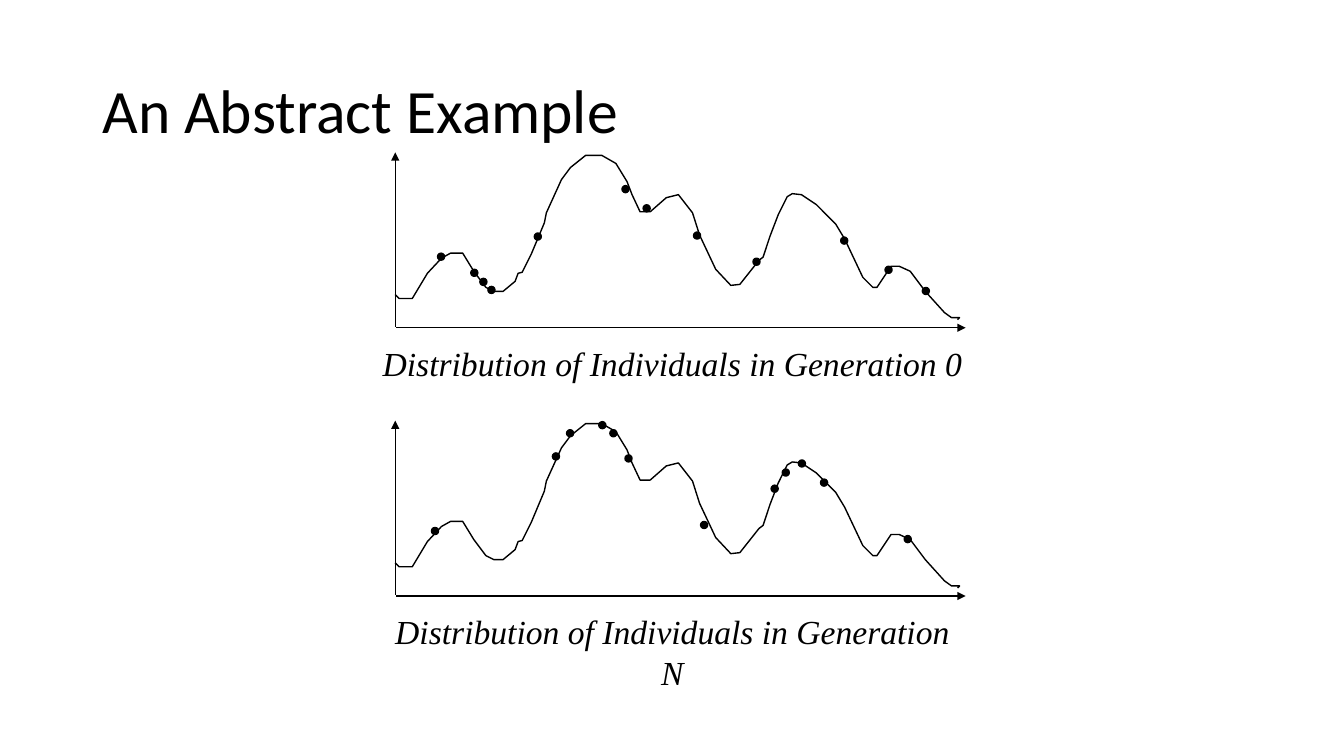
from lxml import etree
from pptx import Presentation
from pptx.dml.color import RGBColor
from pptx.enum.shapes import MSO_CONNECTOR, MSO_SHAPE
from pptx.enum.text import MSO_ANCHOR, MSO_AUTO_SIZE, PP_ALIGN
from pptx.oxml.ns import qn
from pptx.util import Cm, Pt

STRAIGHT = MSO_CONNECTOR.STRAIGHT
OVAL = MSO_SHAPE.OVAL
MIDDLE = MSO_ANCHOR.MIDDLE
FIT_SHAPE = MSO_AUTO_SIZE.SHAPE_TO_FIT_TEXT
LEFT, CENTER = PP_ALIGN.LEFT, PP_ALIGN.CENTER

COLORS = {"ink": "000000", "paper": "FFFFFF"}
TITLE_FONT, CAPTION_FONT = "Calibri", "Times New Roman"
TITLE_ONLY = 5

# Plot coordinates: hundredths of an inch from the top left corner of a plot
PLOT_UNIT = Cm(2.54) / 100
DOT_SIZE = 7
LANDSCAPE = [
    (0, 141), (4, 145), (17, 145), (32, 120), (46, 105), (55, 100), (67, 100),
    (78, 118), (90, 134), (98, 138), (107, 138), (119, 128), (122, 120),
    (126, 119), (135, 101), (148, 70), (150, 60), (165, 27), (174, 15),
    (189, 3), (205, 3), (219, 11), (230, 29), (235, 42), (243, 59), (253, 59),
    (269, 45), (281, 42), (295, 60), (302, 82), (318, 116), (333, 132),
    (342, 131), (361, 107), (365, 104), (372, 83), (380, 62), (389, 44),
    (394, 41), (403, 42), (418, 52), (437, 71), (446, 86), (464, 124),
    (474, 134), (478, 134), (492, 113), (500, 113), (511, 118), (526, 138),
    (545, 159), (552, 164), (560, 164), (558, 166),
]
# Generation name, top of its plot in cm, top left corners of its individuals
GENERATIONS = [
    ("0", 3.84, [(138, 80), (42, 100), (75, 116), (84, 125), (92, 133), (246, 52),
                 (225, 33), (296, 79), (355, 105), (442, 84), (523, 134), (486, 113)]),
    ("N", 10.6, [(505, 114), (422, 58), (400, 39), (384, 48), (373, 64), (303, 100),
                 (228, 34), (202, 1), (213, 9), (170, 9), (156, 32), (36, 106)]),
]


def color(name):
    return RGBColor.from_string(COLORS[name])


def draw_outline(shape):
    shape.line.color.rgb = color("ink")
    shape.line.width = Pt(1)


def format_text(paragraph, font_name, size, alignment, italic=False):
    paragraph.alignment = alignment
    font = paragraph.font
    font.name, font.size, font.italic = font_name, Pt(size), italic
    font.color.rgb = color("ink")


def add_title(slide, left, top, width, height):
    title = slide.shapes.title
    title.left, title.top, title.width, title.height = left, top, width, height
    title.text_frame.vertical_anchor = MIDDLE
    title.text_frame.text = "An Abstract Example"
    heading = title.text_frame.paragraphs[0]
    heading.line_spacing = 0.9
    format_text(heading, TITLE_FONT, 44, LEFT)


def add_axis(slide, start, end, arrow_end):
    """Draw an axis with its arrow at "headEnd" (start) or "tailEnd" (end)."""
    axis = slide.shapes.add_connector(STRAIGHT, *start, *end)
    draw_outline(axis)
    properties = axis.line.fill._xPr
    etree.SubElement(properties, qn(f"a:{arrow_end}"), type="triangle")
    etree.SubElement(properties.getparent(), qn("a:effectLst"))


def add_generation(slide, left, top, name, individuals):
    def at(x, y):
        return left + round(x * PLOT_UNIT), top + round(y * PLOT_UNIT)

    add_axis(slide, at(0, 0), at(0, 173), "headEnd")
    add_axis(slide, at(1, 174), at(566, 174), "tailEnd")

    builder = slide.shapes.build_freeform(*LANDSCAPE[0], scale=PLOT_UNIT)
    builder.add_line_segments(LANDSCAPE[1:], close=False)
    curve = builder.convert_to_shape(left, top)
    curve.shadow.inherit = False
    curve.fill.background()
    draw_outline(curve)

    caption = slide.shapes.add_textbox(*at(-25, 184), Cm(15.24), Cm(1.27))
    caption.text_frame.word_wrap = False
    caption.text_frame.auto_size = FIT_SHAPE
    caption.text_frame.text = f"Distribution of Individuals in Generation {name}"
    format_text(caption.text_frame.paragraphs[0], CAPTION_FONT, 24, CENTER, italic=True)

    diameter = round(DOT_SIZE * PLOT_UNIT)
    for x, y in individuals:
        individual = slide.shapes.add_shape(OVAL, *at(x, y), diameter, diameter)
        individual.shadow.inherit = False
        individual.fill.solid()
        individual.fill.fore_color.rgb = color("ink")
        draw_outline(individual)


def main():
    presentation = Presentation()
    presentation.slide_width, presentation.slide_height = Cm(33.87), Cm(19.05)
    slide = presentation.slides.add_slide(presentation.slide_layouts[TITLE_ONLY])
    slide.background.fill.solid()
    slide.background.fill.fore_color.rgb = color("paper")
    add_title(slide, Cm(2.33), Cm(1.01), Cm(29.21), Cm(3.68))
    for name, top, individuals in GENERATIONS:
        add_generation(slide, Cm(9.96), Cm(top), name, individuals)
    presentation.save("out.pptx")


if __name__ == "__main__":
    main()
